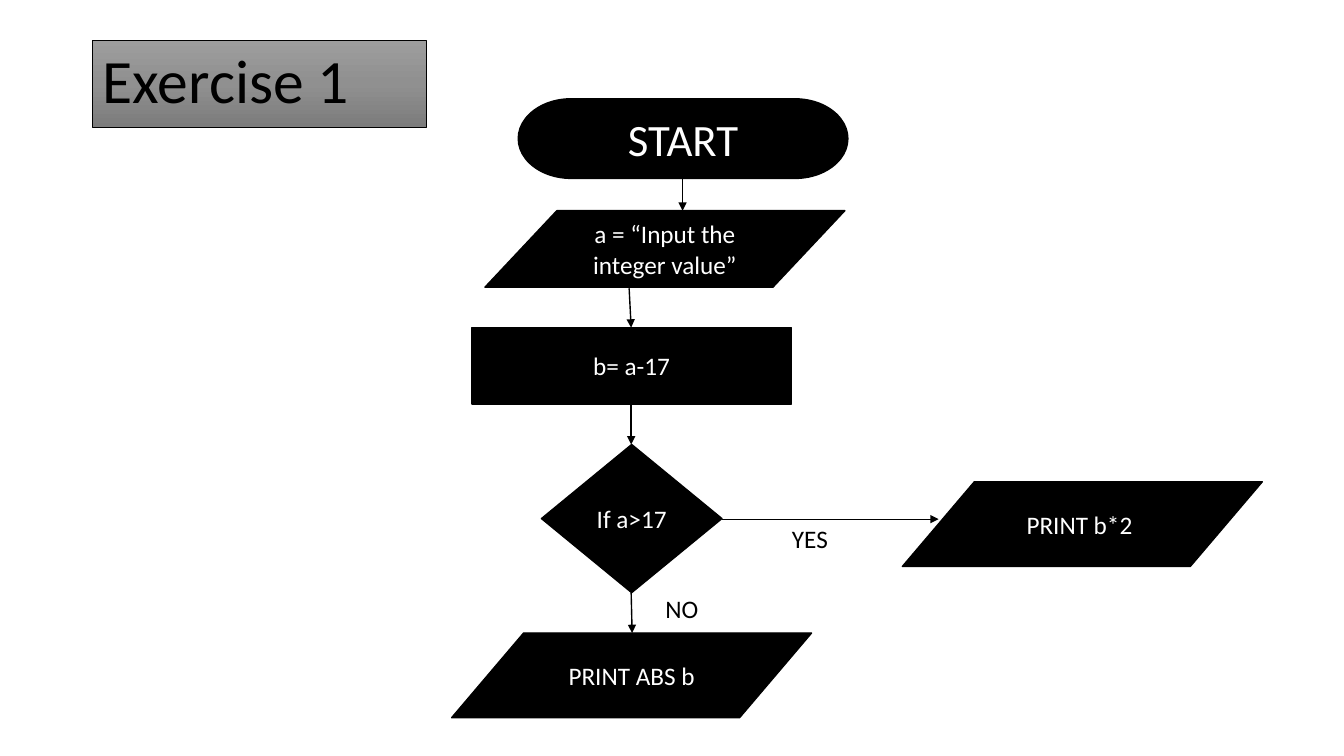
from copy import deepcopy
from dataclasses import dataclass

from lxml import etree
from pptx import Presentation
from pptx.dml.color import RGBColor
from pptx.enum.shapes import MSO_CONNECTOR, MSO_SHAPE
from pptx.enum.text import MSO_ANCHOR, PP_ALIGN
from pptx.oxml.ns import qn
from pptx.util import Emu, Pt

EMU_PER_PX = 9144
BLANK_LAYOUT = 6
RECTANGLE = MSO_SHAPE.RECTANGLE
TERMINATOR = MSO_SHAPE.FLOWCHART_TERMINATOR
INPUT_OUTPUT = MSO_SHAPE.FLOWCHART_DATA
PROCESS = MSO_SHAPE.FLOWCHART_PROCESS
DECISION = MSO_SHAPE.FLOWCHART_DECISION
STRAIGHT = MSO_CONNECTOR.STRAIGHT
MIDDLE = MSO_ANCHOR.MIDDLE
LEFT, CENTER = PP_ALIGN.LEFT, PP_ALIGN.CENTER


@dataclass(frozen=True)
class Theme:
    font: str = "Calibri"
    ink: RGBColor = RGBColor(0x00, 0x00, 0x00)
    paper: RGBColor = RGBColor(0xFF, 0xFF, 0xFF)
    title_top: RGBColor = RGBColor(0x9D, 0x9D, 0x9D)
    title_middle: RGBColor = RGBColor(0x90, 0x90, 0x90)
    title_bottom: RGBColor = RGBColor(0x7C, 0x7C, 0x7C)
    title_size: int = 44
    start_size: int = 32
    body_size: int = 18
    thin_line: float = 0.5
    line: float = 1


THEME = Theme()


@dataclass(frozen=True)
class Box:
    left: int
    top: int
    width: int
    height: int

    def emu(self) -> tuple:
        return tuple(px(v) for v in (self.left, self.top, self.width, self.height))


@dataclass(frozen=True)
class Step:
    text: str
    symbol: int
    box: Box
    size: int = THEME.body_size


@dataclass(frozen=True)
class Arrow:
    start: tuple[int, int]
    end: tuple[int, int]
    weight: float = THEME.line


@dataclass(frozen=True)
class Label:
    text: str
    box: Box


TITLE = Box(92, 40, 331, 86)

STEPS = [
    Step("START", TERMINATOR, Box(514, 98, 327, 79), THEME.start_size),
    Step("a = “Input the integer value”", INPUT_OUTPUT, Box(481, 209, 357, 76)),
    Step("b= a-17", PROCESS, Box(468, 325, 317, 76)),
    Step("If a>17", DECISION, Box(537, 441, 179, 147)),
    Step("PRINT b*2 ", INPUT_OUTPUT, Box(895, 478, 357, 84)),
    Step("PRINT ABS b", INPUT_OUTPUT, Box(448, 628, 357, 84)),
]

ARROWS = [
    Arrow((716, 515), (931, 515), THEME.thin_line),
    Arrow((626, 588), (627, 628)),
    Arrow((626, 401), (626, 441)),
    Arrow((624, 286), (626, 325)),
    Arrow((677, 173), (677, 209)),
]

LABELS = [
    Label(" YES", Box(770, 514, 70, 40)),
    Label("NO", Box(650, 584, 65, 40)),
]


def px(value: int) -> Emu:
    return Emu(value * EMU_PER_PX)


def write(shape, text: str, size: int, color: RGBColor, align: int):
    shape.text_frame.text = text
    paragraph = shape.text_frame.paragraphs[0]
    paragraph.alignment = align
    paragraph.font.name = THEME.font
    paragraph.font.size = Pt(size)
    paragraph.font.color.rgb = color
    return paragraph


def add_outlined(slide, symbol: int, box: Box, weight: float):
    shape = slide.shapes.add_shape(symbol, *box.emu())
    shape.shadow.inherit = False
    shape.line.color.rgb = THEME.ink
    shape.line.width = Pt(weight)
    shape.text_frame.word_wrap = True
    shape.text_frame.vertical_anchor = MIDDLE
    return shape


def add_title(slide, text: str, box: Box) -> None:
    title = add_outlined(slide, RECTANGLE, box, THEME.thin_line)
    title.fill.gradient()
    title.fill.gradient_angle = 270
    top, bottom = title.fill.gradient_stops
    top.position, bottom.position = 0, 1
    top.color.rgb = THEME.title_top
    bottom.color.rgb = THEME.title_bottom
    first = title.element.spPr.find(".//" + qn("a:gs"))
    middle = deepcopy(first)
    middle.set("pos", "50000")
    middle.find(qn("a:srgbClr")).set("val", str(THEME.title_middle))
    first.addnext(middle)
    paragraph = write(title, text, THEME.title_size, THEME.ink, LEFT)
    paragraph.line_spacing = 0.9


def add_step(slide, step: Step) -> None:
    shape = add_outlined(slide, step.symbol, step.box, THEME.line)
    shape.fill.solid()
    shape.fill.fore_color.rgb = THEME.ink
    write(shape, step.text, step.size, THEME.paper, CENTER)


def add_arrow(slide, arrow: Arrow) -> None:
    ends = (px(v) for v in arrow.start + arrow.end)
    connector = slide.shapes.add_connector(STRAIGHT, *ends)
    connector.line.color.rgb = THEME.ink
    connector.line.width = Pt(arrow.weight)
    etree.SubElement(connector.line._get_or_add_ln(), qn("a:tailEnd"), type="triangle")
    etree.SubElement(connector.element.spPr, qn("a:effectLst"))


def add_label(slide, label: Label) -> None:
    branch = slide.shapes.add_textbox(*label.box.emu())
    branch.text_frame.word_wrap = True
    write(branch, label.text, THEME.body_size, THEME.ink, LEFT)


def main() -> None:
    deck = Presentation()
    deck.slide_width, deck.slide_height = px(1333), px(750)
    slide = deck.slides.add_slide(deck.slide_layouts[BLANK_LAYOUT])
    add_title(slide, "Exercise 1", TITLE)
    for step in STEPS:
        add_step(slide, step)
    for arrow in ARROWS:
        add_arrow(slide, arrow)
    for label in LABELS:
        add_label(slide, label)
    deck.save("out.pptx")


if __name__ == "__main__":
    main()
